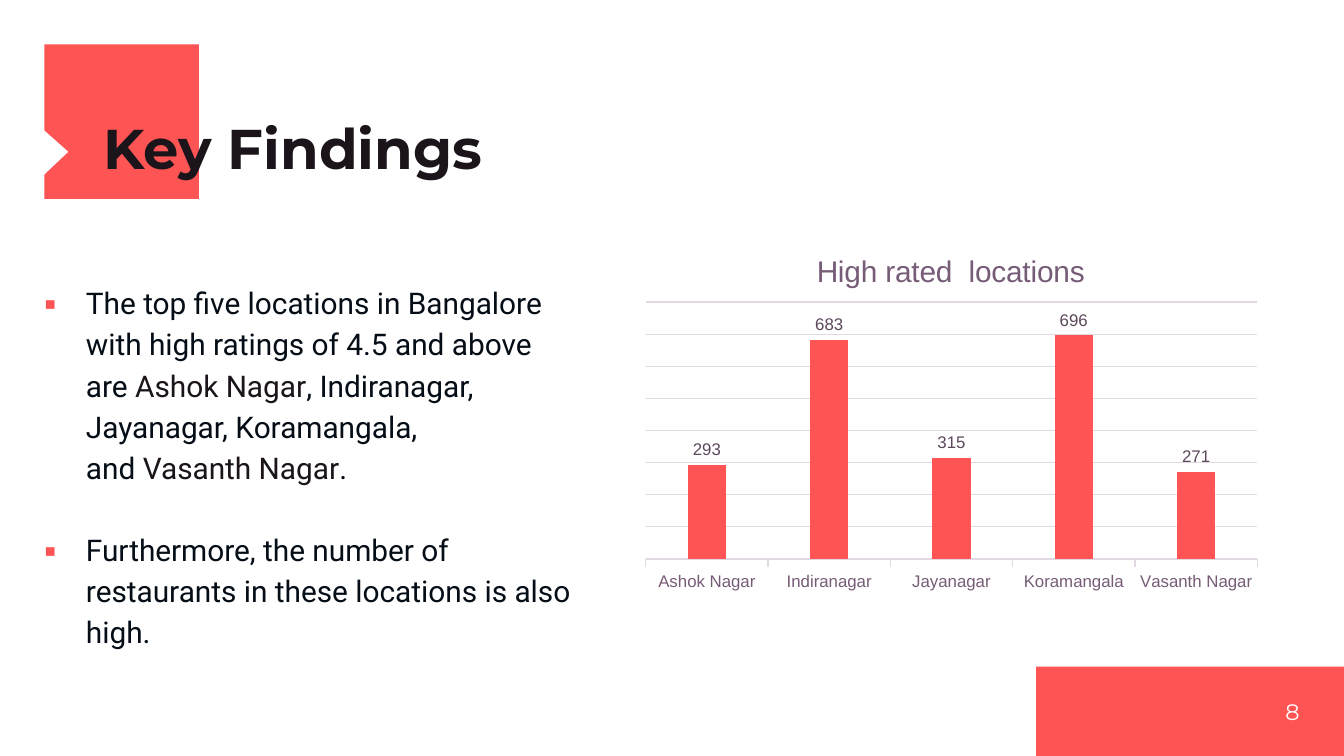
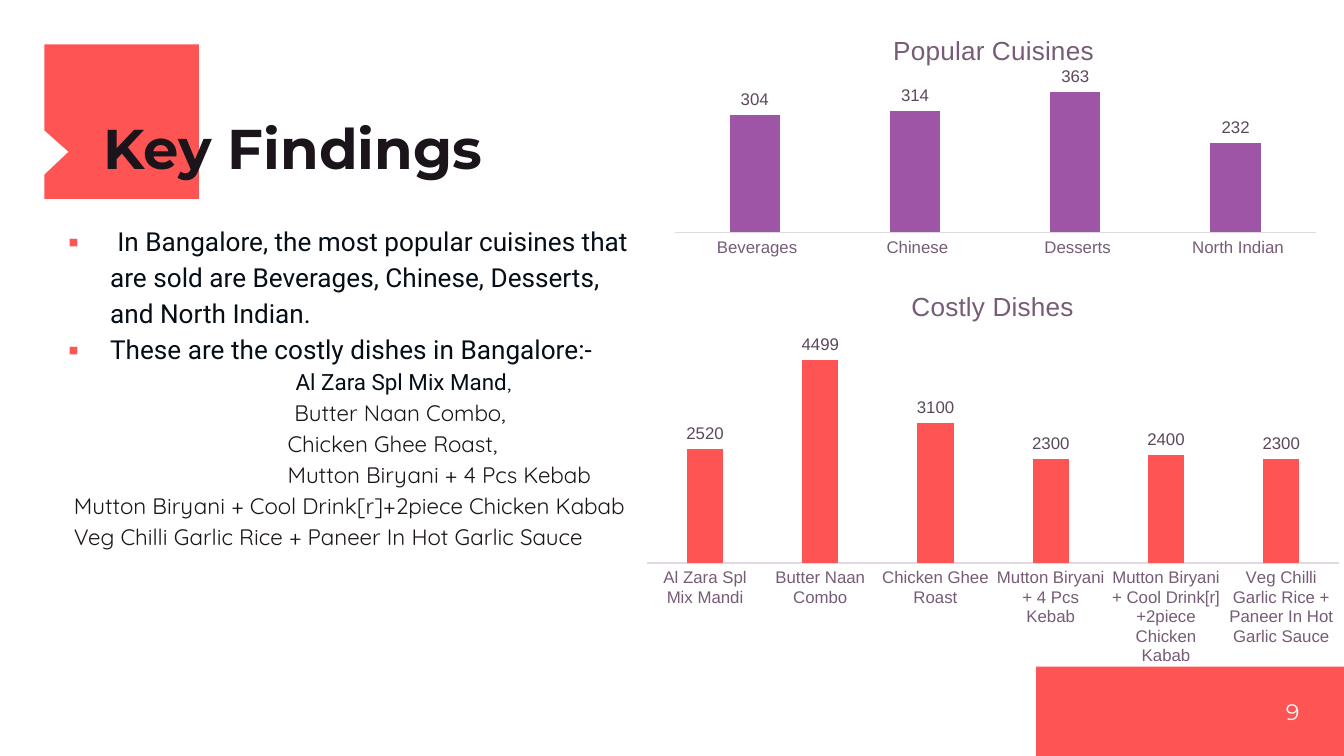
import pptx
import pptx.chart.data
import pptx.dml.color
import pptx.enum.chart
import pptx.enum.shapes
import pptx.enum.text
import pptx.oxml
import pptx.oxml.ns
import pptx.util
from pptx.util import Inches, Pt

CORAL, PURPLE, WHITE = "FF5454", "9F55A5", "FFFFFF"
INK, NAVY = "1B151B", "050E17"
AXIS_TEXT, VALUE_TEXT, RULE = "765C76", "5C485C", "E1D8E1"

FLAG = [(0.33, 0.33), (1.48, 0.33), (1.48, 1.48), (0.33, 1.48),
        (0.33, 1.3), (0.51, 1.13), (0.33, 0.97)]
BULLET_INDENT = 0.31
HARD_SPACE = chr(160)

# Runs are (text, font, colour). Chart places are fractions of the chart frame.
SLIDES = [
    {
        "title": "Key Findings",
        "number": "8",
        "body": {
            "at": (0.33, 1.81, 4.02, 3.39), "top_inset": 0.27,
            "paragraphs": [
                {"size": 16, "bullet": True, "runs": [
                    ("The top five locations in Bangalore with high ratings of 4.5 and above are"
                     + HARD_SPACE, "Roboto", NAVY),
                    ("Ashok Nagar", "Roboto", INK),
                    (", Indiranagar, Jayanagar, Koramangala, and" + HARD_SPACE, "Roboto", NAVY),
                    ("Vasanth Nagar", "Roboto", INK),
                    (".", "Roboto", NAVY)]},
                {"size": 16, "bullet": True, "before": 22, "runs": [
                    ("Furthermore, the number of restaurants in these locations is also high.",
                     "Roboto", NAVY)]},
            ],
        },
        "charts": [
            {"title": "High rated  locations", "title_size": 16, "title_at": (0.28, 0.04),
             "at": (4.71, 1.73, 4.74, 2.73), "plot_at": (0.02, 0.19, 0.96, 0.7),
             "color": CORAL, "top": 800, "step": 100, "ruled": True,
             "values": {"Ashok Nagar": 293, "Indiranagar": 683, "Jayanagar": 315,
                        "Koramangala": 696, "Vasanth Nagar": 271}},
        ],
    },
    {
        "title": "Key Findings",
        "number": "9",
        "body": {
            "at": (0.51, 1.64, 4.2, 3.14), "top_inset": 0,
            "paragraphs": [
                {"size": 14, "bullet": True, "runs": [
                    (" ", "Quicksand", INK),
                    ("In Bangalore, the most popular cuisines that are sold are "
                     "Beverages, Chinese, Desserts, and North Indian.", "Roboto", NAVY)]},
                {"size": 14, "bullet": True, "runs": [
                    ("These are the costly dishes in Bangalore:-", "Roboto", NAVY)]},
                {"size": 12, "indent": 1.69, "runs": [
                    ("Al Zara Spl Mix Mand", "Roboto", NAVY), (",", "Quicksand", INK)]},
            ] + [
                {"size": 12, "indent": indent, "runs": [(dish, "Quicksand", INK)]}
                for dish, indent in [
                    ("Butter Naan Combo,", 1.68),
                    ("Chicken Ghee Roast,", 1.63),
                    ("Mutton Biryani + 4 Pcs Kebab", 1.63),
                    ("Mutton Biryani + Cool Drink[r]+2piece Chicken Kabab", 0.04),
                    ("Veg Chilli Garlic Rice + Paneer In Hot Garlic Sauce", 0.04)]
            ],
        },
        "charts": [
            {"title": "Costly Dishes", "title_size": 14, "title_at": (0.38, 0.03),
             "at": (4.71, 2.03, 5.36, 3), "plot_at": (0.02, 0.16, 0.96, 0.56),
             "color": CORAL, "top": 5000, "step": 500, "ruled": False,
             "values": {"Al Zara Spl Mix Mandi": 2520, "Butter Naan Combo": 4499,
                        "Chicken Ghee Roast": 3100, "Mutton Biryani + 4 Pcs Kebab": 2300,
                        "Mutton Biryani + Cool Drink[r]+2piece Chicken Kabab": 2400,
                        "Veg Chilli Garlic Rice + Paneer In Hot Garlic Sauce": 2300}},
            {"title": "Popular Cuisines", "title_size": 14, "title_at": (0.34, 0.05),
             "at": (4.92, 0.12, 4.97, 1.83), "plot_at": (0.02, 0.25, 0.96, 0.63),
             "color": PURPLE, "top": 400, "step": 50, "ruled": False,
             "values": {" Beverages": 304, " Chinese": 314, " Desserts": 363,
                        " North Indian": 232}},
        ],
    },
]


def rgb(color):
    return pptx.dml.color.RGBColor.from_string(color)


def style_font(font, name, size, color, bold=False):
    font.name, font.size, font.bold = name, Pt(size), bold
    font.color.rgb = rgb(color)


def add_child(parent, tag, **attributes):
    child = parent.makeelement(pptx.oxml.ns.qn(tag), attributes)
    parent.append(child)
    return child


def prepare_frame(frame, anchor, top_inset=0):
    frame.word_wrap = True
    frame.auto_size = pptx.enum.text.MSO_AUTO_SIZE.NONE
    frame.vertical_anchor = anchor
    frame.margin_left = frame.margin_right = frame.margin_bottom = 0
    frame.margin_top = Inches(top_inset)


def paint(shape):
    shape.fill.solid()
    shape.fill.fore_color.rgb = rgb(CORAL)
    shape.line.fill.background()
    shape.shadow.inherit = False


def add_decor(slide, number):
    corners = [(Inches(x), Inches(y)) for x, y in FLAG]
    outline = slide.shapes.build_freeform(*corners[0])
    outline.add_line_segments(corners[1:], close=True)
    paint(outline.convert_to_shape())
    paint(slide.shapes.add_shape(
        pptx.enum.shapes.MSO_SHAPE.RECTANGLE,
        Inches(7.71), Inches(4.96), Inches(2.29), Inches(0.67)))

    frame = slide.shapes.add_textbox(
        Inches(9), Inches(4.96), Inches(0.67), Inches(0.67)).text_frame
    prepare_frame(frame, pptx.enum.text.MSO_ANCHOR.MIDDLE)
    frame.text = number
    frame.paragraphs[0].alignment = pptx.enum.text.PP_ALIGN.RIGHT
    style_font(frame.paragraphs[0].runs[0].font, "Montserrat", 12, WHITE)


def set_title(slide, text):
    """Fill the title and bring it in front of the flag."""
    title = slide.shapes.title
    title.left, title.top = Inches(0.77), Inches(0.91)
    title.width, title.height = Inches(5.61), Inches(0.43)
    prepare_frame(title.text_frame, pptx.enum.text.MSO_ANCHOR.BOTTOM)
    title.text_frame.text = text
    paragraph = title.text_frame.paragraphs[0]
    paragraph.alignment = pptx.enum.text.PP_ALIGN.LEFT
    paragraph.line_spacing = 0.8
    style_font(paragraph.runs[0].font, "Montserrat", 30, INK, bold=True)
    title.element.getparent().append(title.element)


def add_body(slide, body):
    frame = slide.shapes.add_textbox(*map(Inches, body["at"])).text_frame
    prepare_frame(frame, pptx.enum.text.MSO_ANCHOR.TOP, body["top_inset"])
    for index, item in enumerate(body["paragraphs"]):
        paragraph = frame.add_paragraph() if index else frame.paragraphs[0]
        paragraph.line_spacing = 1.15
        paragraph.space_before = Pt(item.get("before", 0))
        bulleted = item.get("bullet", False)
        indent = BULLET_INDENT if bulleted else item["indent"]
        properties = paragraph._p.get_or_add_pPr()
        properties.set("marL", str(Inches(indent)))
        if bulleted:
            properties.set("indent", str(-Inches(indent)))
            add_child(add_child(properties, "a:buClr"), "a:srgbClr", val=CORAL)
            add_child(properties, "a:buFont", typeface="Quicksand")
            add_child(properties, "a:buChar", char="▪")
        for text, font, color in item["runs"]:
            run = paragraph.add_run()
            run.text = text
            style_font(run.font, font, item["size"], color)


def set_layout(parent, position, fractions):
    """Fix a chart part at x, y and, if given, width, height."""
    for old in parent.findall(pptx.oxml.ns.qn("c:layout")):
        parent.remove(old)
    layout = parent.makeelement(pptx.oxml.ns.qn("c:layout"))
    parent.insert(position, layout)
    manual = add_child(layout, "c:manualLayout")
    if len(fractions) == 4:
        add_child(manual, "c:layoutTarget", val="inner")
    for tag in ("c:xMode", "c:yMode"):
        add_child(manual, tag, val="edge")
    for tag, fraction in zip(("c:x", "c:y", "c:w", "c:h"), fractions):
        add_child(manual, tag, val=str(fraction))


def rule_line(line):
    line.color.rgb = rgb(RULE)
    line.width = Pt(0.75)


def add_column_chart(slide, content):
    data = pptx.chart.data.CategoryChartData()
    data.categories = list(content["values"])
    data.add_series("Series 1", list(content["values"].values()))
    chart = slide.shapes.add_chart(
        pptx.enum.chart.XL_CHART_TYPE.COLUMN_CLUSTERED,
        *map(Inches, content["at"]), data).chart
    style_font(chart.font, "Arial", 10, INK)
    chart.has_legend = False

    heading = chart.chart_title.text_frame
    heading.text = content["title"]
    style_font(heading.paragraphs[0].runs[0].font, "Arial", content["title_size"], AXIS_TEXT)
    chart.chart_title.include_in_layout = False
    find = lambda tag: chart.element.find(".//" + pptx.oxml.ns.qn(tag))
    set_layout(find("c:title"), 1, content["title_at"])
    set_layout(find("c:plotArea"), 0, content["plot_at"])

    ticks = pptx.enum.chart.XL_TICK_MARK
    categories = chart.category_axis
    categories.major_tick_mark = ticks.OUTSIDE if content["ruled"] else ticks.NONE
    style_font(categories.tick_labels.font, "Arial", 9, AXIS_TEXT)
    rule_line(categories.format.line)

    scale = chart.value_axis
    scale.minimum_scale, scale.maximum_scale = 0, content["top"]
    scale.major_unit = content["step"]
    scale.has_major_gridlines = content["ruled"]
    if content["ruled"]:
        rule_line(scale.major_gridlines.format.line)
    scale.visible = False

    plot = chart.plots[0]
    plot.gap_width, plot.overlap, plot.vary_by_categories = 219, -27, False
    columns = plot.series[0]
    columns.format.fill.solid()
    columns.format.fill.fore_color.rgb = rgb(content["color"])
    labels = columns.data_labels
    labels.show_value = True
    labels.position = pptx.enum.chart.XL_LABEL_POSITION.OUTSIDE_END
    style_font(labels.font, "Arial", 9, VALUE_TEXT)


def main():
    deck = pptx.Presentation()
    deck.slide_width = Inches(10)
    deck.slide_height = deck.slide_width * 9 // 16
    for content in SLIDES:
        slide = deck.slides.add_slide(deck.slide_layouts[5])
        add_decor(slide, content["number"])
        set_title(slide, content["title"])
        add_body(slide, content["body"])
        for chart in content["charts"]:
            add_column_chart(slide, chart)
    deck.save("out.pptx")


if __name__ == "__main__":
    main()
